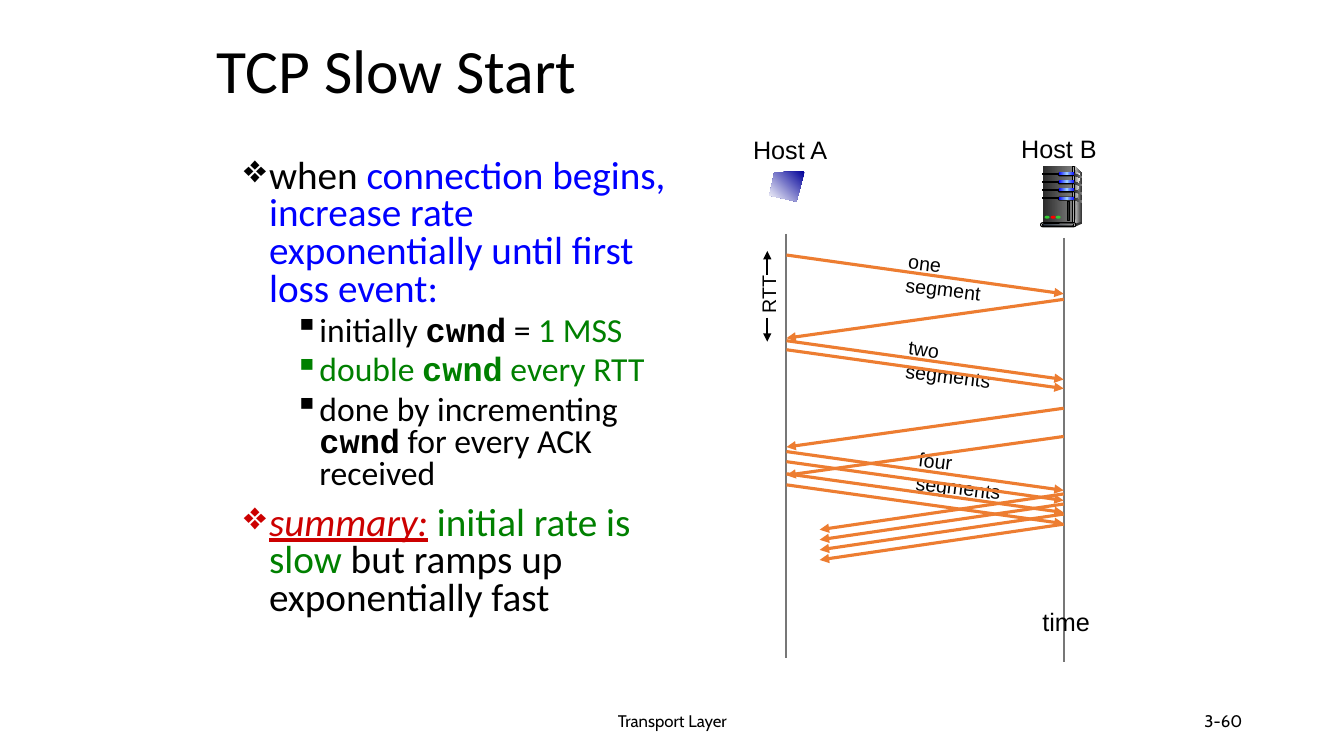
from copy import deepcopy

from lxml.etree import SubElement
from pptx import Presentation
from pptx.dml.color import RGBColor
from pptx.enum.shapes import MSO_CONNECTOR, MSO_SHAPE
from pptx.enum.text import MSO_ANCHOR, PP_ALIGN
from pptx.oxml.ns import qn
from pptx.util import Inches, Pt

BLACK, GRAY, ORANGE = "000000", "777777", "ED7D31"
BLUE, GREEN, RED = "0000FF", "008000", "CC0000"
DARK, CHARCOAL, STEEL, SILVER = "292929", "333333", "808080", "DDDDDD"
hex_color = RGBColor.from_string

presentation = Presentation()
presentation.slide_width, presentation.slide_height = Inches(13.33), Inches(7.5)
slide = presentation.slides.add_slide(presentation.slide_layouts[5])


def add_line(start, end, color, width, arrow=False):
    line = slide.shapes.add_connector(MSO_CONNECTOR.STRAIGHT, *map(Inches, start + end))
    line.line.color.rgb = hex_color(color)
    line.line.width = Pt(width)
    if arrow:
        SubElement(line.line._get_or_add_ln(), qn("a:tailEnd"), type="triangle")
    SubElement(line._element.spPr, qn("a:effectLst"))


def add_part(kind, geometry, fill, outline=None, angle=0):
    """Add a preset shape, or a polygon when kind is None."""
    if kind is None:
        points = [(Inches(x), Inches(y)) for x, y in geometry]
        builder = slide.shapes.build_freeform(*points[0])
        builder.add_line_segments(points[1:], close=True)
        shape = builder.convert_to_shape()
    else:
        shape = slide.shapes.add_shape(kind, *map(Inches, geometry))
        if kind == MSO_SHAPE.ROUNDED_RECTANGLE:
            shape.adjustments[0] = 0.5
    shape.shadow.inherit = False
    if isinstance(fill, str):
        shape.fill.solid()
        shape.fill.fore_color.rgb = hex_color(fill)
    else:
        shape.fill.gradient()
        shape.fill.gradient_angle = angle
        stop_list = shape._element.spPr.find(".//" + qn("a:gsLst"))
        while len(stop_list) < len(fill):
            stop_list.append(deepcopy(stop_list[0]))
        for index, stop in enumerate(shape.fill.gradient_stops):
            stop.position = index / (len(fill) - 1)
            stop.color.rgb = hex_color(fill[index])
    if outline:
        shape.line.color.rgb = hex_color(outline)
        shape.line.width = Pt(0.75)
    else:
        shape.line.fill.background()


# Title
title = slide.shapes.title
title.left, title.top, title.width, title.height = map(Inches, (2.05, 0.16, 8.5, 1.14))
title.text_frame.text = "TCP Slow Start"
title.text_frame.vertical_anchor = MSO_ANCHOR.MIDDLE
paragraph = title.text_frame.paragraphs[0]
paragraph.alignment, paragraph.line_spacing = PP_ALIGN.LEFT, 0.9
font = paragraph.runs[0].font
font.name, font.size, font.color.rgb = "Calibri", Pt(44), hex_color(BLACK)

# Bullets: level, then runs of text and colour
bullets = [
    (0, [("when ", BLACK),
         ("connection begins, increase rate exponentially until first loss event:", BLUE)]),
    (1, [("initially ", BLACK), ("cwnd", BLACK), (" = ", BLACK), ("1 MSS", GREEN)]),
    (1, [("double ", GREEN), ("cwnd", GREEN), (" every RTT", GREEN)]),
    (1, [("done by incrementing ", BLACK), ("cwnd", BLACK), (" for every ACK received", BLACK)]),
    (0, [("summary:", RED), (" ", RED), ("initial rate is slow ", GREEN),
         ("but ramps up exponentially fast", BLACK)]),
]
body = slide.shapes.add_textbox(*map(Inches, (2.32, 1.53, 4.65, 5.08))).text_frame
body.word_wrap = True
for index, (level, runs) in enumerate(bullets):
    paragraph = body.add_paragraph() if index else body.paragraphs[0]
    paragraph.level, paragraph.line_spacing = level, 0.8
    if index:
        paragraph.space_before = Pt(5 if level else 10)
    properties = paragraph._p.get_or_add_pPr()
    properties.set("marL", str(Inches(0.25 + 0.5 * level)))
    properties.set("indent", str(Inches(-0.25)))
    SubElement(properties, qn("a:buChar"), char="❖▪"[level])
    for text, color in runs:
        run = paragraph.add_run()
        run.text = text
        run.font.size = Pt(24 if level else 28)
        run.font.color.rgb = hex_color(color)
        run.font.bold = text == "cwnd"
        run.font.name = "Courier New" if run.font.bold else "Calibri"
        run.font.italic = color == RED
        run.font.underline = text == "summary:"

# Lifelines of the two hosts and the RTT arrows
host_a, host_b = 7.8, 10.55
for x, top in ((host_a, 2.32), (host_b, 2.36)):
    add_line((x, top), (x, top + 4.21), GRAY, 1.5)
for start, end in ((2.73, 2.49), (3.15, 3.39)):
    add_line((7.61, start), (7.61, end), BLACK, 1.5, arrow=True)

# Labels and footer: text, box, size, font, alignment, rotation
labels = [
    ("Host A", (7.37, 1.28, 0.95, 0.4), 18, "Arial", PP_ALIGN.LEFT, 0),
    ("Host B", (10.03, 1.27, 0.95, 0.4), 18, "Arial", PP_ALIGN.LEFT, 0),
    ("time", (10.24, 5.97, 0.67, 0.4), 18, "Arial", PP_ALIGN.LEFT, 0),
    ("RTT", (7.33, 2.75, 0.58, 0.33), 14, "Arial", PP_ALIGN.LEFT, 270),
    ("one segment", (8.91, 2.49, 1.32, 0.33), 14, "Arial", PP_ALIGN.LEFT, 6.8),
    ("two segments", (8.91, 3.35, 1.4, 0.33), 14, "Arial", PP_ALIGN.LEFT, 6.8),
    ("four segments", (9.01, 4.46, 1.43, 0.33), 14, "Arial", PP_ALIGN.LEFT, 6.8),
    ("Transport Layer", (4.42, 6.95, 4.5, 0.4), 12, "Cabin", PP_ALIGN.CENTER, 0),
    ("3-60", (9.42, 6.95, 3, 0.4), 12, "Cabin", PP_ALIGN.RIGHT, 0),
]
for text, box, size, font_name, alignment, rotation in labels:
    label = slide.shapes.add_textbox(*map(Inches, box))
    label.rotation = rotation
    frame = label.text_frame
    frame.text = text
    frame.word_wrap = font_name == "Cabin" or rotation == 6.8
    if rotation == 6.8:
        frame.margin_right = Inches(0.3)
    if font_name == "Cabin":
        frame.vertical_anchor = MSO_ANCHOR.MIDDLE
    frame.paragraphs[0].alignment = alignment
    font = frame.paragraphs[0].runs[0].font
    font.name, font.size, font.color.rgb = font_name, Pt(size), hex_color(BLACK)

# Segments run from A to B, acknowledgements back from B
travel = 0.385
for y in (2.53, 3.38, 3.47, 4.48, 4.58, 4.7, 4.81):
    add_line((host_a, y), (host_b, y + travel), ORANGE, 2.25, arrow=True)
for y in (2.97, 4.05, 4.33):
    add_line((host_b, y), (host_a, y + travel), ORANGE, 2.25, arrow=True)
for y in (4.9, 5, 5.1, 5.2):
    add_line((host_b, y), (8.13, y + 0.355), ORANGE, 2.25, arrow=True)

# Screen of host A
add_part(None, [(7.98, 1.7), (7.68, 1.71), (7.63, 1.94), (7.9, 2)], ["000099", "FFFFFF"], angle=225)

# Server of host B: side, front and edge
RECTANGLE, PILL, OVAL = MSO_SHAPE.RECTANGLE, MSO_SHAPE.ROUNDED_RECTANGLE, MSO_SHAPE.OVAL
add_part(None, [(10.66, 1.65), (10.73, 1.72), (10.73, 2.2), (10.65, 2.22)], [SILVER, CHARCOAL])
add_part(RECTANGLE, (10.34, 1.65, 0.31, 0.57), [DARK, STEEL])
add_part(None, [(10.66, 1.69), (10.71, 1.73), (10.67, 2.05), (10.66, 2.21)], [STEEL, "F8F8F8"])
add_part(RECTANGLE, (10.64, 1.65, 0.02, 0.57), [CHARCOAL, SILVER, CHARCOAL], BLACK)

# Four drive slots with their side vents
for slot in range(4):
    y = 1.72 + 0.08 * slot
    add_part(RECTANGLE, (10.34, y, 0.18, 0.01), BLACK, BLACK)
    add_part(PILL, (10.49, y - 0.01, 0.17, 0.04), BLACK)
    add_part(PILL, (10.5, y - 0.01, 0.16, 0.03), [BLUE, "99CCFF", BLUE])
    add_part(None, [(10.65, y), (10.73, y + 0.03), (10.73, y + 0.05), (10.65, y + 0.02)], [DARK, STEEL])

# Base, lamps and handle
add_part(OVAL, (10.72, 2.2, 0.01, 0.02), CHARCOAL)
add_part(None, [(10.66, 2.22), (10.66, 2.25), (10.73, 2.22), (10.73, 2.2)], CHARCOAL)
add_part(PILL, (10.32, 2.21, 0.35, 0.04), SILVER, BLACK)
add_part(PILL, (10.34, 2.22, 0.31, 0.02), ["44546A", "E7E6E6"], BLACK)
for x, color in ((10.36, "33CC33"), (10.42, "FF0000"), (10.47, "33CC33")):
    add_part(OVAL, (x, 2.14, 0.05, 0.03), color)
add_part(RECTANGLE, (10.59, 2, 0.02, 0.19), DARK, BLACK)

presentation.save("out.pptx")
